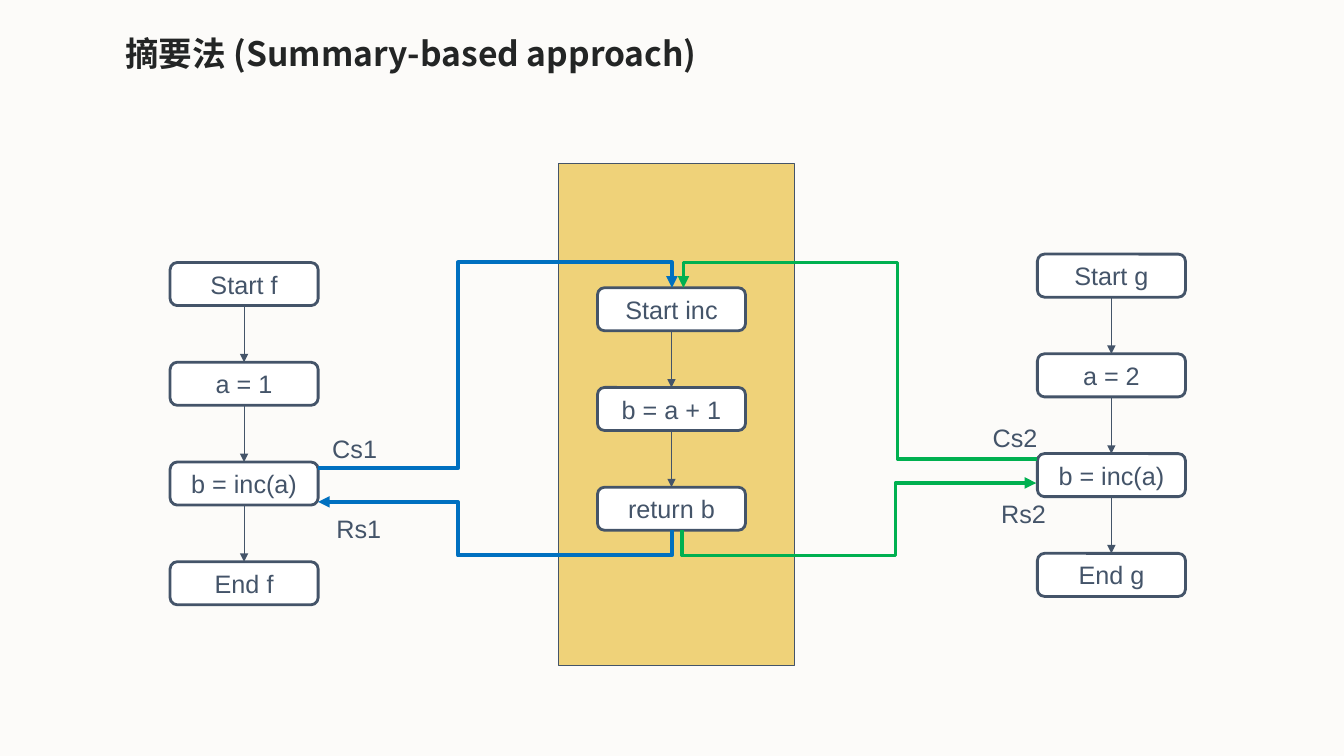
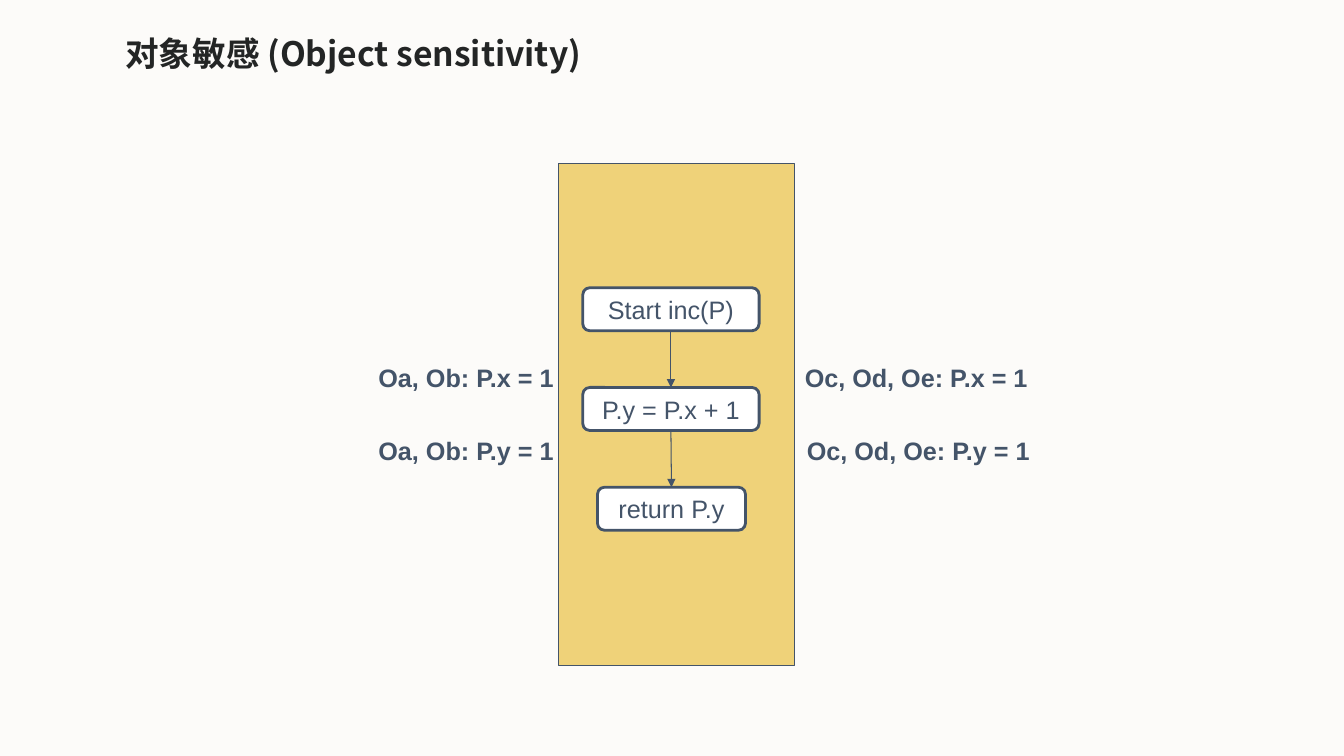
from itertools import pairwise

from pptx import Presentation
from pptx.dml.color import RGBColor
from pptx.enum.shapes import MSO_CONNECTOR, MSO_SHAPE
from pptx.enum.text import MSO_ANCHOR, MSO_AUTO_SIZE, PP_ALIGN
from pptx.oxml.ns import qn
from pptx.util import Pt
from lxml.etree import SubElement

EMU_PER_PX = 9525
COLORS = {
    "background": "FCFBF9",
    "title": "232525",
    "ink": "445469",
    "band": "EFD279",
    "box": "FFFFFF",
    "blue": "0070C0",
    "green": "00B050",
}


def px(*lengths):
    return [n * EMU_PER_PX for n in lengths]


def rgb(name):
    return RGBColor.from_string(COLORS[name])


class Deck:
    body_font = "Arial"
    title_font = "Noto Sans CJK SC"
    box_w, box_h, step = 141, 41, 95

    def __init__(self):
        self.prs = Presentation()
        self.prs.slide_width, self.prs.slide_height = px(1280, 720)
        fill = self.prs.slide_master.background.fill
        fill.solid()
        fill.fore_color.rgb = rgb("background")

    def add_slide(self, title, title_w):
        self.slide = self.prs.slides.add_slide(self.prs.slide_layouts[6])
        self.band()
        self.text(title, 110, 27, title_w, 48, size=24, color="title",
                  font=self.title_font, bold=True, wrap=True)

    def run(self, p, text, size=18, color="ink", font=body_font, bold=False):
        r = p.add_run()
        r.text = text
        r.font.size = Pt(size)
        r.font.name = font
        r.font.bold = bold
        r.font.color.rgb = rgb(color)
        SubElement(r.font._element, qn("a:ea")).set("typeface", font)

    def text(self, text, x, y, w, h=38, wrap=False, **style):
        tf = self.slide.shapes.add_textbox(*px(x, y, w, h)).text_frame
        tf.word_wrap = wrap
        tf.auto_size = MSO_AUTO_SIZE.SHAPE_TO_FIT_TEXT
        self.run(tf.paragraphs[0], text, **style)

    def shape(self, kind, x, y, w, h, fill, line_w):
        sp = self.slide.shapes.add_shape(kind, *px(x, y, w, h))
        sp.shadow.inherit = False
        sp.fill.solid()
        sp.fill.fore_color.rgb = rgb(fill)
        sp.line.color.rgb = rgb("ink")
        sp.line.width = Pt(line_w)
        return sp

    def band(self):
        self.shape(MSO_SHAPE.RECTANGLE, 532, 156, 225, 478, "band", 0.75)

    def box(self, text, x, y, w):
        sp = self.shape(MSO_SHAPE.ROUNDED_RECTANGLE, x, y, w, self.box_h, "box", 2)
        tf = sp.text_frame
        tf.word_wrap = True
        tf.vertical_anchor = MSO_ANCHOR.MIDDLE
        p = tf.paragraphs[0]
        p.alignment = PP_ALIGN.CENTER
        self.run(p, text)
        return sp

    def connector(self, kind, start, end, color, width, arrow_end):
        cxn = self.slide.shapes.add_connector(kind, *px(*start, *end))
        cxn.line.color.rgb = rgb(color)
        cxn.line.width = Pt(width)
        ln = cxn.line._get_or_add_ln()
        SubElement(ln, qn(f"a:{arrow_end}")).set("type", "triangle")
        SubElement(cxn._element.spPr, qn("a:effectLst"))
        return cxn

    def flow(self, x, y, steps):
        boxes = [self.box(text, x + (self.box_w - w) // 2, y + i * self.step, w)
                 for i, (text, w) in enumerate(steps)]
        for upper, lower in pairwise(boxes):
            cxn = self.connector(MSO_CONNECTOR.STRAIGHT, (0, 0), (0, 0),
                                 "ink", 0.75, "tailEnd")
            cxn.begin_connect(upper, 2)
            cxn.end_connect(lower, 0)

    def elbow(self, site, bend, port, color, arrow_end):
        cxn = self.connector(MSO_CONNECTOR.ELBOW, site, port, color, 2.75, arrow_end)
        geom = cxn._element.spPr.find(qn("a:prstGeom"))
        geom.set("prst", "bentConnector4")
        av = geom.find(qn("a:avLst"))
        for i, (a, b, c) in enumerate(zip(site, bend, port), 1):
            gd = SubElement(av, qn("a:gd"))
            gd.set("name", f"adj{i}")
            gd.set("fmla", f"val {round((b - a) / (c - a) * 100000)}")


def summary_slide(deck):
    deck.add_slide("摘要法 (Summary-based approach)", 581)
    for x, y, steps in (
        (162, 250, ("Start f", "a = 1", "b = inc(a)", "End f")),
        (569, 274, ("Start inc", "b = a + 1", "return b")),
        (988, 242, ("Start g", "a = 2", "b = inc(a)", "End g")),
    ):
        deck.flow(x, y, [(text, deck.box_w) for text in steps])
    for site, bend, port, color, arrow_end in (
        ((303, 446), (436, 250), (640, 274), "blue", "tailEnd"),
        ((303, 478), (436, 529), (640, 505), "blue", "headEnd"),
        ((988, 437), (855, 250), (651, 274), "green", "tailEnd"),
        ((987, 460), (853, 529), (650, 505), "green", "headEnd"),
    ):
        deck.elbow(site, bend, port, color, arrow_end)
    for text, x, y in (("Cs1", 307, 408), ("Cs2", 936, 397),
                       ("Rs1", 311, 484), ("Rs2", 944, 470)):
        deck.text(text, x, y, 62)


def object_slide(deck):
    deck.add_slide("对象敏感 (Object sensitivity)", 565)
    deck.flow(569, 274, [("Start inc(P)", 168), ("P.y = P.x + 1", 168),
                         ("return P.y", deck.box_w)])
    for field, y, right_x in (("x", 340, 757), ("y", 410, 759)):
        deck.text(f"Oa, Ob: P.{field} = 1", 351, y, 188, bold=True)
        deck.text(f"Oc, Od, Oe: P.{field} = 1", right_x, y, 233, bold=True)


def main():
    deck = Deck()
    summary_slide(deck)
    object_slide(deck)
    deck.prs.save("out.pptx")


if __name__ == "__main__":
    main()
